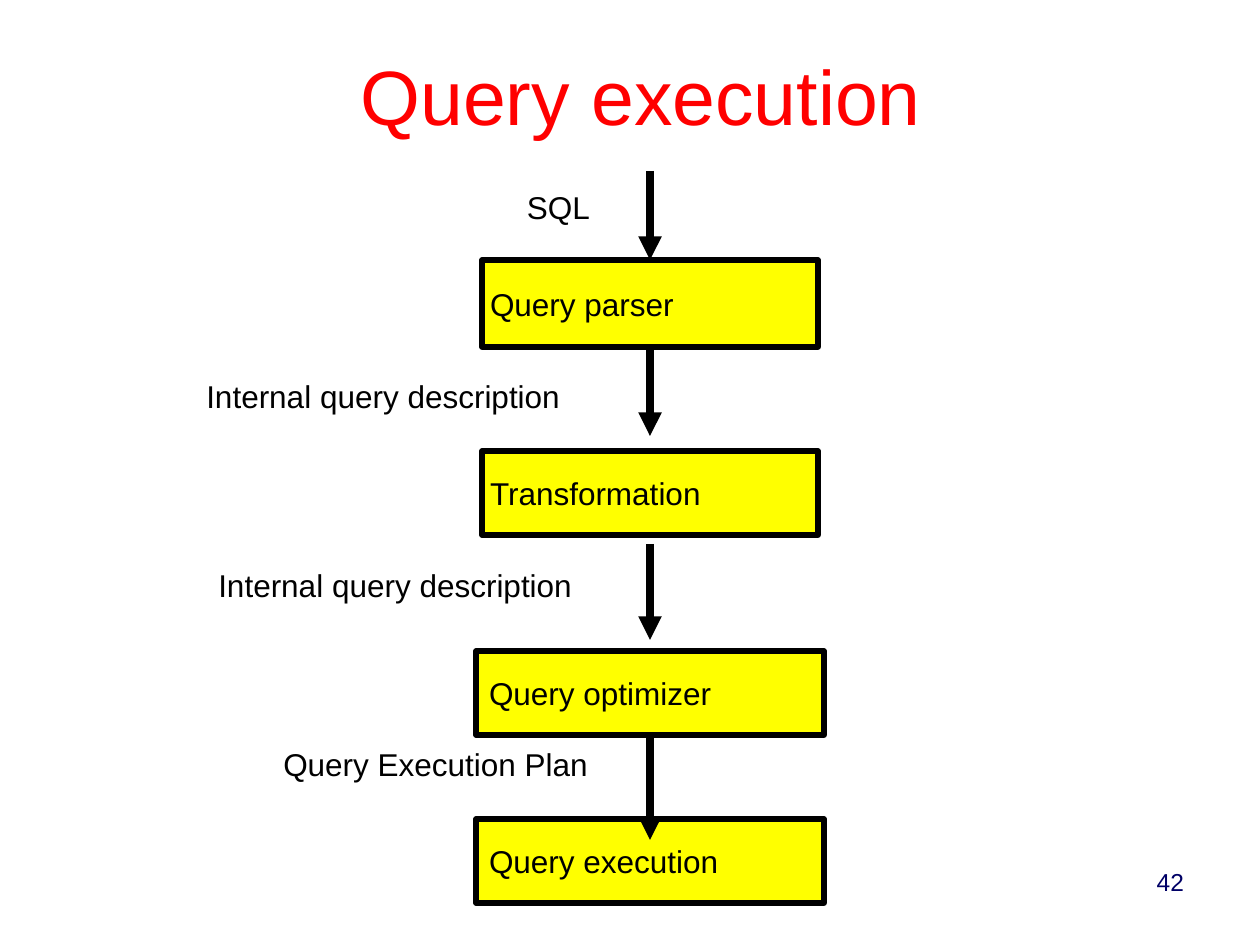
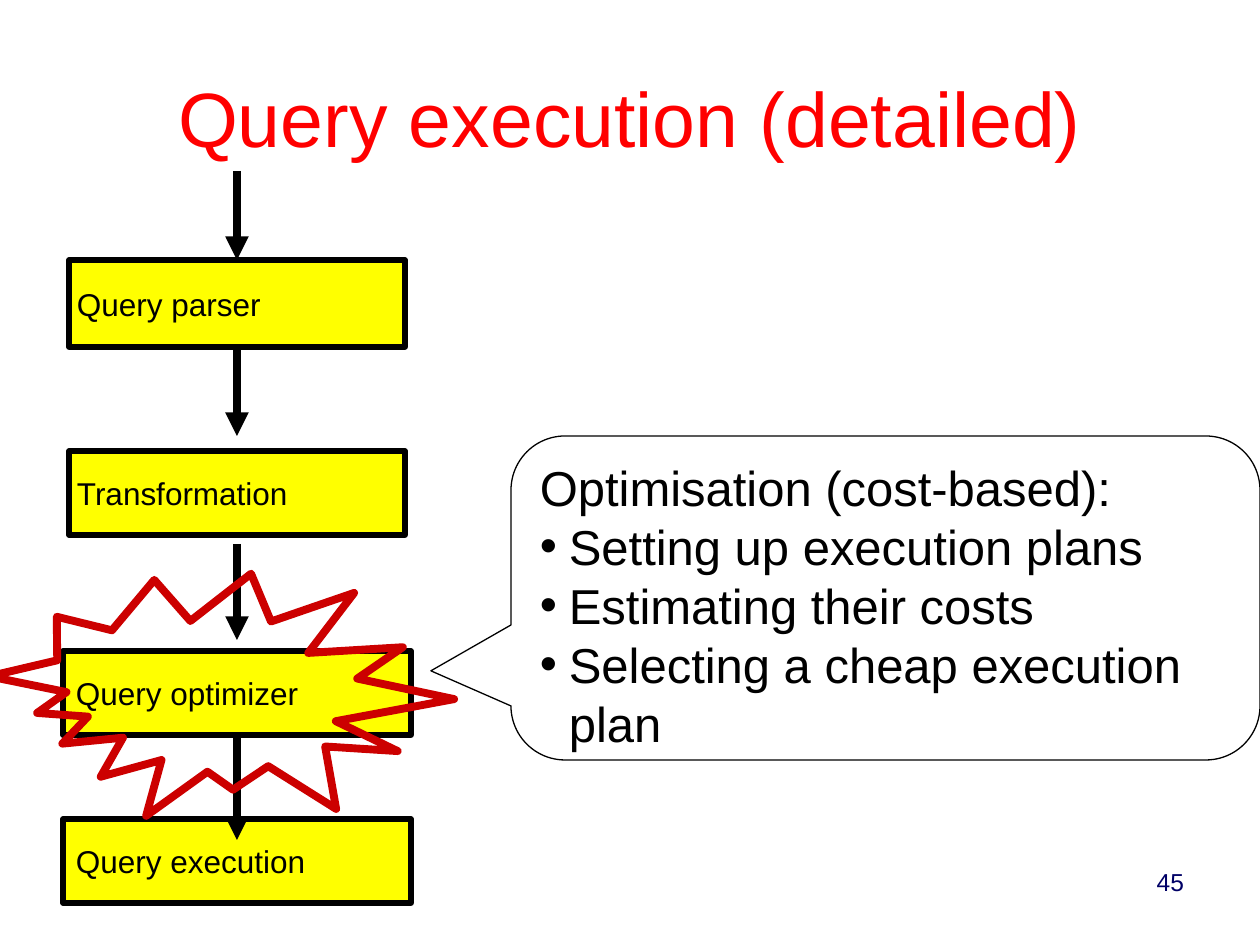
"""Builds two slides that explain the stages of query execution."""
from collections import namedtuple
from lxml import etree
from pptx import Presentation
from pptx import util as u
from pptx.dml.color import RGBColor
from pptx.enum import shapes, text
from pptx.oxml.ns import qn

PX = 914400 / 126
FONT = "Arial"
COLOURS = {
    "title": "FF0000",
    "ink": "000000",
    "stage": "FFFF00",
    "burst": "CC0000",
    "page": "000066",
}
Box = namedtuple("Box", "left top width height")

PIPELINE_WIDTH, PIPELINE_HEIGHT = 348, 732
STAGES = [
    ("Query parser", 89, 87, 6, 8),
    ("Transformation", 280, 84, 6, 8),
    ("Query optimizer", 480, 84, 0, 13),
    ("Query execution", 648, 84, 0, 13),
]
ARROWS = [
    (0, 89, None, "Query parser"),
    (176, 265, "Query parser", None),
    (373, 469, None, None),
    (564, 669, "Query optimizer", None),
]
STEP_LABELS = [
    ("SQL", 39, 18, 88),
    ("Internal query description", -281, 207, 378),
    ("Internal query description", -269, 396, 378),
    ("Query Execution Plan", -205, 575, 330),
]
OPTIMISATION_STEPS = [
    "Setting up execution plans",
    "Estimating their costs",
    "Selecting a cheap execution plan",
]


def px(length):
    """Turn pixels into EMU."""
    return u.Emu(round(length * PX))


def emu(box):
    """Turn a whole box into EMU."""
    return [px(length) for length in box]


def colour(name):
    """Look up a named colour."""
    return RGBColor.from_string(COLOURS[name])


def write(paragraph, words, size, ink, align=text.PP_ALIGN.LEFT):
    """Add one formatted run to a paragraph."""
    paragraph.alignment = align
    run = paragraph.add_run()
    run.text = words
    run.font.name = FONT
    run.font.size = u.Pt(size)
    run.font.color.rgb = colour(ink)


def set_frame(frame, anchor, side=13, wrap=True):
    """Set the margins, anchor and wrapping of a text frame."""
    frame.margin_left = frame.margin_right = px(side)
    frame.margin_top = frame.margin_bottom = px(6)
    frame.vertical_anchor = anchor
    frame.word_wrap = wrap
    frame.auto_size = text.MSO_AUTO_SIZE.NONE


def add_outlined(slide, preset, box, line, weight, fill=None):
    """Add a preset shape with an outline and an optional fill."""
    shape = slide.shapes.add_shape(preset, *emu(box))
    shape.shadow.inherit = False
    if fill:
        shape.fill.solid()
        shape.fill.fore_color.rgb = colour(fill)
    else:
        shape.fill.background()
    shape.line.color.rgb = colour(line)
    shape.line.width = u.Pt(weight)
    return shape


def add_label(slide, box, words, size, ink, wrap):
    """Add a right-aligned text box."""
    frame = slide.shapes.add_textbox(*emu(box)).text_frame
    set_frame(frame, text.MSO_ANCHOR.TOP, wrap=wrap)
    write(frame.paragraphs[0], words, size, ink, text.PP_ALIGN.RIGHT)
    return frame


def add_arrow(slide, x, top, bottom):
    """Add a thick downward arrow."""
    arrow = slide.shapes.add_connector(
        shapes.MSO_CONNECTOR.STRAIGHT, px(x), px(top), px(x), px(bottom))
    arrow.line.color.rgb = colour("ink")
    arrow.line.width = u.Pt(4.5)
    properties = arrow._element.spPr
    line = properties.find(qn("a:ln"))
    etree.SubElement(line, qn("a:tailEnd"), type="triangle")
    etree.SubElement(properties, qn("a:effectLst"))
    return arrow


def start_slide(deck, heading, box, page):
    """Add a slide with its title and page number."""
    slide = deck.slides.add_slide(deck.slide_layouts[5])
    title = slide.shapes.title
    title.left, title.top, title.width, title.height = emu(box)
    set_frame(title.text_frame, text.MSO_ANCHOR.MIDDLE)
    write(title.text_frame.paragraphs[0], heading, 44, "title",
          text.PP_ALIGN.CENTER)
    add_label(slide, Box(903, 861, 294, 66), page, 14, "page", True)
    return slide


def draw_pipeline(slide, box):
    """Draw the four stages and the arrows between them."""
    stages = {}
    for name, top, height, indent, margin in STAGES:
        place = Box(box.left + indent, box.top + top,
                    box.width - 2 * indent, height)
        stage = add_outlined(slide, shapes.MSO_SHAPE.RECTANGLE, place,
                             "ink", 3, "stage")
        set_frame(stage.text_frame, text.MSO_ANCHOR.MIDDLE, margin)
        write(stage.text_frame.paragraphs[0], name, 18, "ink")
        stages[name] = stage
    centre = box.left + box.width // 2
    for top, bottom, source, target in ARROWS:
        arrow = add_arrow(slide, centre, box.top + top, box.top + bottom)
        if source:
            arrow.begin_connect(stages[source], 2)
        if target:
            arrow.end_connect(stages[target], 0)


def draw_step_labels(slide, box):
    """Name what passes between the stages."""
    for words, left, top, width in STEP_LABELS:
        place = Box(box.left + left, box.top + top, width, 43)
        frame = add_label(slide, place, words, 18, "ink", False)
        frame.paragraphs[0].line_spacing = 0.8


def draw_optimisation_callout(slide, box):
    """Explain the optimizer in a rounded callout."""
    callout = add_outlined(
        slide, shapes.MSO_SHAPE.ROUNDED_RECTANGULAR_CALLOUT, box, "ink", 0.75)
    for index, value in enumerate((-0.607, 0.225, 0.167)):
        callout.adjustments[index] = value
    frame = callout.text_frame
    set_frame(frame, text.MSO_ANCHOR.TOP)
    write(frame.paragraphs[0], "Optimisation (cost-based):", 28, "ink")
    for step in OPTIMISATION_STEPS:
        paragraph = frame.add_paragraph()
        properties = paragraph._p.get_or_add_pPr()
        properties.set("marL", str(px(29)))
        properties.set("indent", str(px(-29)))
        bullet_colour = etree.SubElement(properties, qn("a:buClr"))
        etree.SubElement(bullet_colour, qn("a:srgbClr"), val=COLOURS["ink"])
        etree.SubElement(properties, qn("a:buFont"), typeface=FONT)
        etree.SubElement(properties, qn("a:buChar"), char="•")
        write(paragraph, step, 28, "ink")


def draw_burst(slide, box):
    """Highlight the optimizer with a rotated burst."""
    burst = add_outlined(slide, shapes.MSO_SHAPE.EXPLOSION2, box, "burst", 4.5)
    burst.rotation = 77.9


def build_overview(deck):
    """Build the overview of query execution."""
    slide = start_slide(deck, "Query execution", Box(53, 21, 1176, 147), "42")
    pipeline = Box(476, 171, PIPELINE_WIDTH, PIPELINE_HEIGHT)
    draw_pipeline(slide, pipeline)
    draw_step_labels(slide, pipeline)


def build_detail(deck):
    """Build the detailed view of the optimizer."""
    slide = start_slide(deck, "Query execution (detailed)",
                        Box(63, 38, 1134, 158), "45")
    draw_optimisation_callout(slide, Box(511, 436, 749, 324))
    draw_pipeline(slide, Box(63, 171, PIPELINE_WIDTH, PIPELINE_HEIGHT))
    draw_burst(slide, Box(93, 474, 262, 450))


def main():
    """Build and save the deck."""
    deck = Presentation()
    deck.slide_width, deck.slide_height = px(1260), px(945)
    build_overview(deck)
    build_detail(deck)
    deck.save("out.pptx")


if __name__ == "__main__":
    main()
